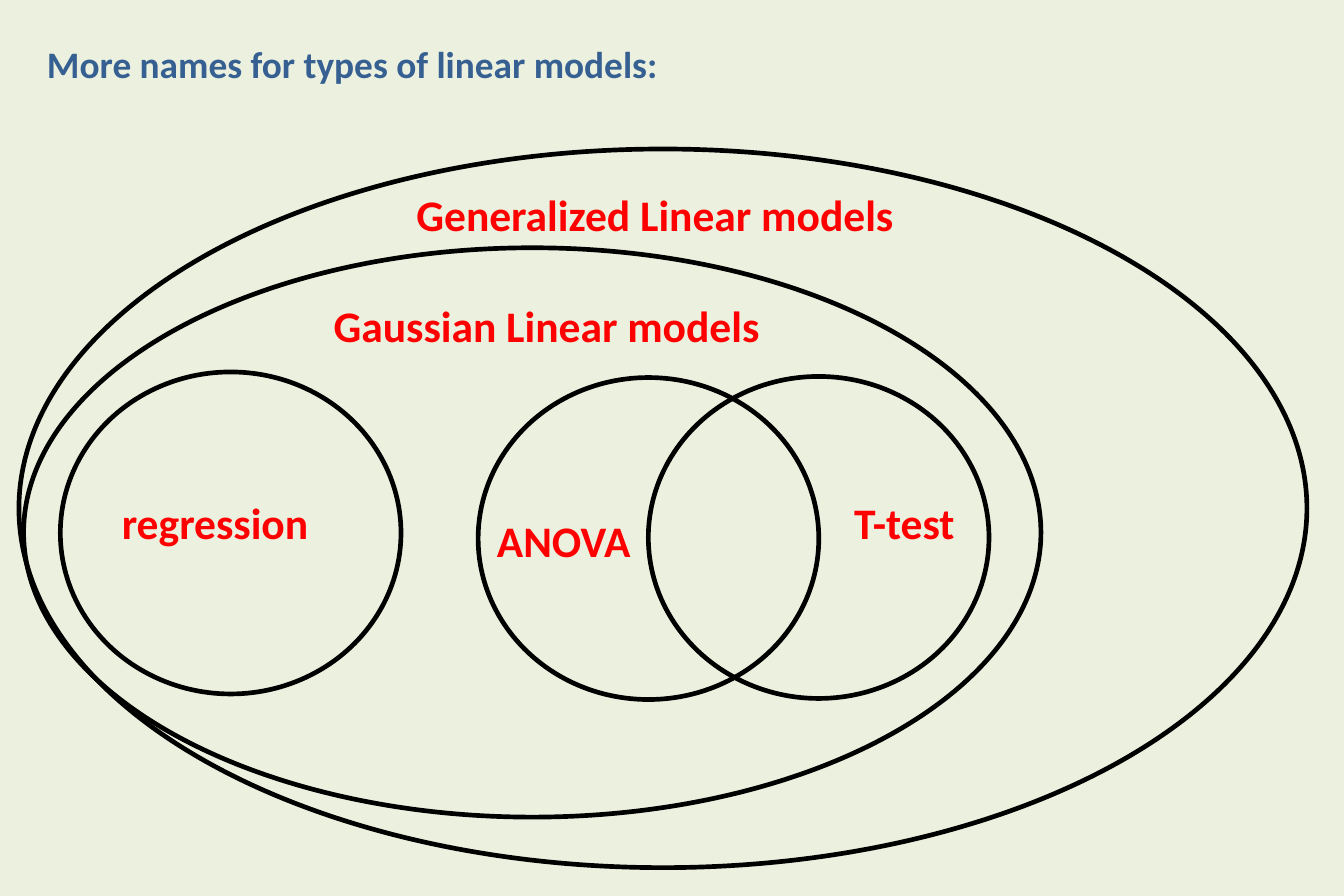
from collections import namedtuple

from pptx import Presentation
from pptx.dml.color import RGBColor
from pptx.enum.shapes import MSO_SHAPE as Shape
from pptx.enum.text import MSO_ANCHOR as Anchor, MSO_AUTO_SIZE as AutoSize, PP_ALIGN as Align
from pptx.util import Pt

BACKGROUND = RGBColor(0xEB, 0xF1, 0xDE)
TITLE_BLUE = RGBColor(0x37, 0x60, 0x92)
LABEL_RED = RGBColor(0xFF, 0x00, 0x00)
OUTLINE = RGBColor(0x00, 0x00, 0x00)
FONT = "Calibri"
LABEL_HEIGHT = 41
CIRCLE = (219, 207)

Box = namedtuple("Box", "left top width height")

# name, ellipse offset in the diagram, ellipse size, label offset in the ellipse, label width
MODEL_SETS = [
    ("Gaussian Linear models", (3, 63.5), (654, 366), (192.2, 29.4), 291.6),
    ("regression", (26.6, 143.3), CIRCLE, (32.4, 76.3), 135.4),
    ("ANOVA", (295.2, 146.9), CIRCLE, (5, 84.2), 101.5),
    ("T-test", (404.6, 146.2), CIRCLE, (125.3, 73.4), 82.1),
    ("Generalized Linear models", (0, 0), (828, 462), (248.4, 21.6), 324.7),
]


def points(box):
    return [Pt(length) for length in box]


def format_text(para, size, color):
    for span in para.runs:
        span.font.name = FONT
        span.font.size = Pt(size)
        span.font.bold = True
        span.font.color.rgb = color


def place_title(slide, box, text):
    title = slide.shapes.title
    title.left, title.top, title.width, title.height = points(box)
    frame = title.text_frame
    frame.margin_left = frame.margin_top = frame.margin_right = frame.margin_bottom = 0
    frame.vertical_anchor = Anchor.TOP
    frame.auto_size = AutoSize.NONE
    frame.word_wrap = True
    frame.text = text
    para = frame.paragraphs[0]
    para.alignment = Align.LEFT
    para.space_before = Pt(1)
    format_text(para, 24, TITLE_BLUE)


def add_ellipse(slide, box):
    ellipse = slide.shapes.add_shape(Shape.OVAL, *points(box))
    ellipse.shadow.inherit = False
    ellipse.fill.background()
    ellipse.line.color.rgb = OUTLINE
    ellipse.line.width = Pt(3)


def add_label(slide, box, text):
    frame = slide.shapes.add_textbox(*points(box)).text_frame
    frame.word_wrap = False
    frame.auto_size = AutoSize.SHAPE_TO_FIT_TEXT
    frame.text = text
    format_text(frame.paragraphs[0], 28, LABEL_RED)


def add_model_diagram(slide, left, top):
    """Draw the nested sets of models from the given top left corner."""
    for name, (set_x, set_y), size, (label_x, label_y), label_width in MODEL_SETS:
        box = Box(left + set_x, top + set_y, *size)
        add_ellipse(slide, box)
        label_box = Box(box.left + label_x, box.top + label_y, label_width, LABEL_HEIGHT)
        add_label(slide, label_box, name)


def main():
    deck = Presentation()
    deck.slide_width, deck.slide_height = Pt(864), Pt(576)
    slide = deck.slides.add_slide(deck.slide_layouts[5])
    slide.background.fill.solid()
    slide.background.fill.fore_color.rgb = BACKGROUND
    place_title(slide, Box(30.2, 26.6, 395.3, 31), "More names for types of linear models:")
    add_model_diagram(slide, 12.2, 95.8)
    deck.save("out.pptx")


if __name__ == "__main__":
    main()
